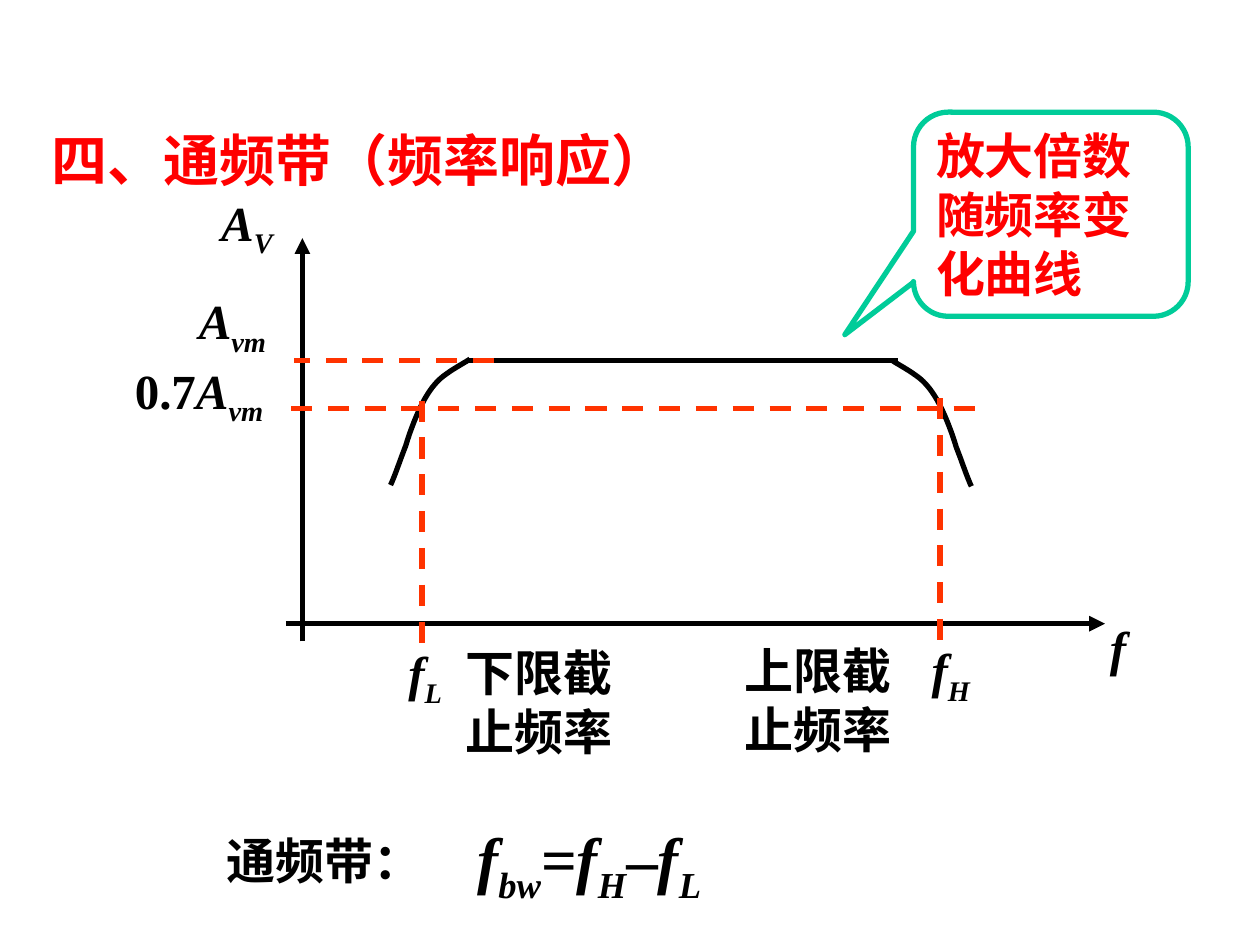
from pptx import Presentation, util as u
from pptx.dml.color import RGBColor
from pptx.enum import dml, shapes, text
from pptx.oxml.ns import qn
from lxml import etree

COLUMNS, ROWS = 100, 75
THEME = {
    "font": "Times New Roman",
    "ink": "000000", "accent": "FF0000", "guide": "FF3300", "callout": "00CC99",
    "heading": 32, "body": 28, "formula": 36, "line": 3,
}
FRAME = {
    "word_wrap": True,
    "vertical_anchor": text.MSO_ANCHOR.MIDDLE,
    "auto_size": text.MSO_AUTO_SIZE.SHAPE_TO_FIT_TEXT,
    "margin_left": u.Inches(0.1), "margin_right": u.Inches(0.1),
    "margin_top": u.Inches(0.05), "margin_bottom": u.Inches(0.05),
}
STYLES = {"plain": (False, None), "italic": (True, None), "sub": (True, -25000)}
LEFT, CENTER = text.PP_ALIGN.LEFT, text.PP_ALIGN.CENTER

AXES = [(24, 50.9, 24, 18.9), (22.7, 49.5, 87.7, 49.5)]
PLATEAU = (37.1, 28.6, 71.3, 28.6)
GUIDES = [
    (39.2, 28.6, 23.3, 28.6), (23.1, 32.4, 78.5, 32.4),
    (33.5, 31.8, 33.5, 51.8), (74.6, 31.6, 74.6, 51.6),
]
SHOULDERS = [(37.3, 28.5, -1), (70.8, 28.6, 1)]
ROLL_OFF = [
    (0, 0), (0.4, 0.3), (1.8, 1), (2.5, 1.7), (3.2, 2.4), (3.7, 3.3), (4.1, 4.2),
    (4.5, 5.1), (4.8, 5.9), (5.1, 6.9), (5.5, 7.9), (6, 9.4), (6.3, 10),
]
LABELS = [
    ((3.1, 9.4, 73.5, 6.4), LEFT, "heading", "accent", [("四、通频带（频率响应）", "plain")]),
    ((87.1, 48.5, 10.4, 5.7), LEFT, "body", "ink", [("f", "italic")]),
    ((14.8, 14.8, 9.6, 6.3), CENTER, "body", "ink", [("A", "italic"), ("V", "sub")]),
    ((12.3, 22.6, 12.3, 6.3), CENTER, "body", "ink", [("A", "italic"), ("vm", "sub")]),
    ((8.3, 28.1, 15, 6.3), CENTER, "body", "ink",
     [("0.7", "plain"), ("A", "italic"), ("vm", "sub")]),
    ((30.2, 50.5, 7.1, 6.3), CENTER, "body", "ink", [("f", "italic"), ("L", "sub")]),
    ((36, 50.5, 15.4, 10.4), LEFT, "body", "ink", [("下限截止频率", "plain")]),
    ((71.9, 50.3, 7.1, 6.3), CENTER, "body", "ink", [("f", "italic"), ("H", "sub")]),
    ((58.1, 50.3, 15.4, 10.4), LEFT, "body", "ink", [("上限截止频率", "plain")]),
    ((14.8, 65.4, 21.9, 5.7), CENTER, "body", "ink", [("通频带：", "plain")]),
    ((36.9, 64.5, 43.5, 7.9), LEFT, "formula", "ink",
     [("f", "italic"), ("bw", "sub"), ("=", "plain"), ("f", "italic"), ("H", "sub"),
      ("–", "plain"), ("f", "italic"), ("L", "sub")]),
]
CALLOUT = ((72.5, 8.9, 21.8, 16.2), (-0.75, 0.59, 0.17), "放大倍数随频率变化曲线")

presentation = Presentation()
presentation.slide_width, presentation.slide_height = u.Inches(10), u.Inches(7.5)
slide = presentation.slides.add_slide(presentation.slide_layouts[6])
column = presentation.slide_width / COLUMNS
row = presentation.slide_height / ROWS


def place(cells):
    return [round(cell * (row if index % 2 else column)) for index, cell in enumerate(cells)]


def style_line(line, color):
    line.color.rgb = RGBColor.from_string(THEME[color])
    line.width = u.Pt(THEME["line"])


def add_line(cells, color, dashed=False, arrow=False):
    connector = slide.shapes.add_connector(shapes.MSO_CONNECTOR.STRAIGHT, *place(cells))
    style_line(connector.line, color)
    if dashed:
        connector.line.dash_style = dml.MSO_LINE.DASH
    if arrow:
        etree.SubElement(connector.line._get_or_add_ln(), qn("a:tailEnd"), type="triangle")
    etree.SubElement(connector._element.spPr, qn("a:effectLst"))


def bezier(start, first, second, end, steps=12):
    for step in range(1, steps + 1):
        t = step / steps
        weights = ((1 - t) ** 3, 3 * t * (1 - t) ** 2, 3 * t * t * (1 - t), t ** 3)
        yield tuple(sum(weight * point[axis] for weight, point
                        in zip(weights, (start, first, second, end))) for axis in (0, 1))


def add_shoulder(x, y, direction):
    controls = [place((x + direction * dx, y + dy)) for dx, dy in ROLL_OFF]
    builder = slide.shapes.build_freeform(*controls[0])
    for index in range(0, len(controls) - 1, 3):
        builder.add_line_segments(list(bezier(*controls[index:index + 4])), close=False)
    shape = builder.convert_to_shape()
    shape.shadow.inherit = False
    shape.fill.background()
    style_line(shape.line, "ink")


def write(shape, alignment, size, color, runs):
    for name, value in FRAME.items():
        setattr(shape.text_frame, name, value)
    paragraph = shape.text_frame.paragraphs[0]
    paragraph.alignment = alignment
    for words, style in runs:
        run = paragraph.add_run()
        run.text = words
        italic, baseline = STYLES[style]
        font_format = {"name": THEME["font"], "size": u.Pt(THEME[size]),
                       "bold": True, "italic": italic}
        for name, value in font_format.items():
            setattr(run.font, name, value)
        run.font.color.rgb = RGBColor.from_string(THEME[color])
        if baseline:
            run.font._element.set("baseline", str(baseline))


for axis in AXES:
    add_line(axis, "ink", arrow=True)
add_line(PLATEAU, "ink")
for shoulder in SHOULDERS:
    add_shoulder(*shoulder)
for guide in GUIDES:
    add_line(guide, "guide", dashed=True)
for cells, *content in LABELS:
    write(slide.shapes.add_textbox(*place(cells)), *content)

cells, adjustments, words = CALLOUT
callout = slide.shapes.add_shape(shapes.MSO_SHAPE.ROUNDED_RECTANGULAR_CALLOUT, *place(cells))
for index, value in enumerate(adjustments):
    callout.adjustments[index] = value
callout.shadow.inherit = False
callout.fill.background()
style_line(callout.line, "callout")
write(callout, LEFT, "body", "accent", [(words, "plain")])

presentation.save("out.pptx")
